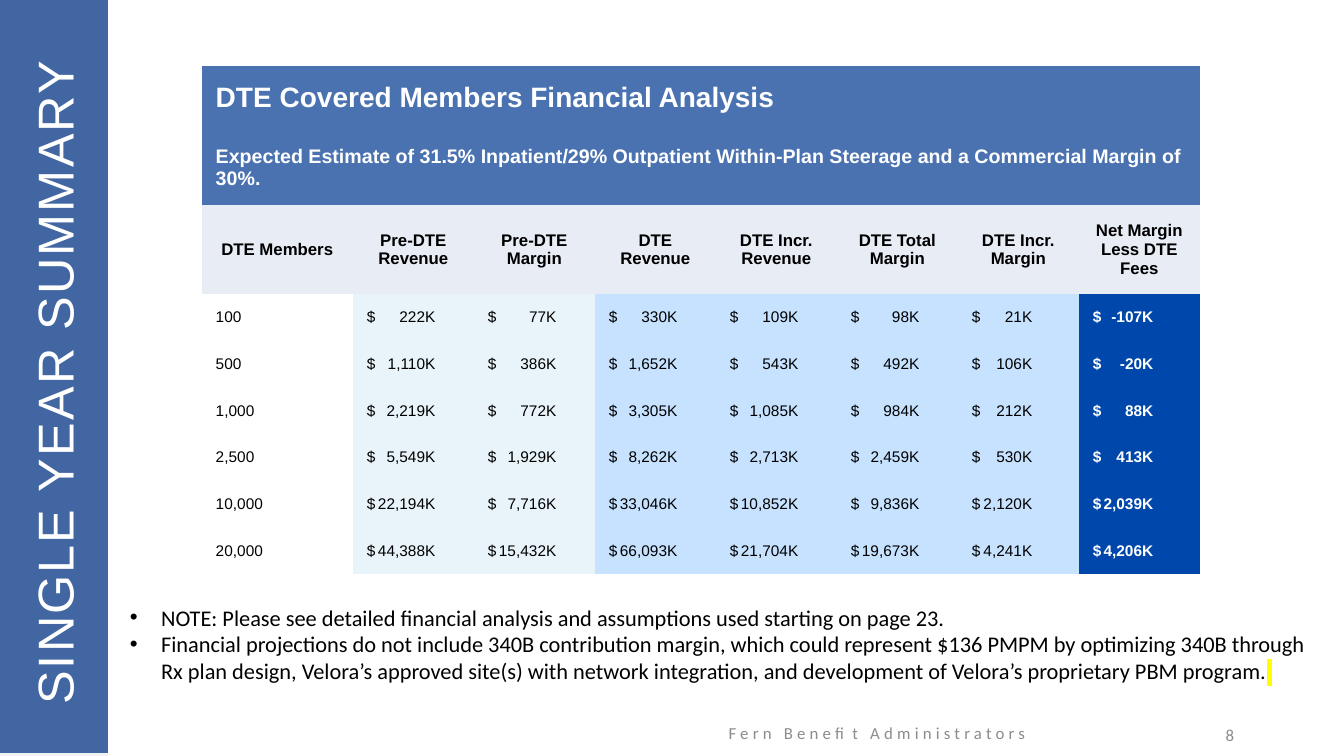
from lxml.etree import SubElement
from pptx import Presentation
from pptx.dml.color import RGBColor
from pptx.enum.shapes import MSO_SHAPE
from pptx.enum.text import MSO_ANCHOR, PP_ALIGN
from pptx.oxml.ns import qn
from pptx.util import Pt

PX = 9144  # 100 px to the inch

WHITE = RGBColor(0xFF, 0xFF, 0xFF)
BLACK = RGBColor(0, 0, 0)
GREY = RGBColor(0x8C, 0x8C, 0x8C)
STRIP_GREY = RGBColor(0xF2, 0xF2, 0xF2)
STRIP_BLUE = RGBColor(0x25, 0x4F, 0x96)
BANNER = RGBColor(0x4A, 0x72, 0xB0)
HEADER = RGBColor(0xE7, 0xEC, 0xF5)
PRE_DTE = RGBColor(0xE8, 0xF4, 0xF9)
DTE = RGBColor(0xC6, 0xE2, 0xFF)
NET = RGBColor(0x00, 0x47, 0xAB)


def add_run(p, text, size, color, name="Calibri", bold=False, spacing=0):
    """Append a formatted run; spacing is in hundredths of a point."""
    r = p.add_run()
    r.text = text
    for key, value in dict(size=Pt(size), name=name, bold=bold).items():
        setattr(r.font, key, value)
    r.font.color.rgb = color
    if spacing:
        r.font._element.set("spc", str(spacing))
    return r


def add_box(x, y, w, h, anchor=MSO_ANCHOR.MIDDLE):
    s = slide.shapes.add_textbox(x * PX, y * PX, w * PX, h * PX)
    s.text_frame.word_wrap = True
    s.text_frame.vertical_anchor = anchor
    return s


prs = Presentation()
prs.slide_width, prs.slide_height = 1333 * PX, 750 * PX
slide = prs.slides.add_slide(prs.slide_layouts[6])

# Side strip: translucent blue over light grey
for top, color in ((0, STRIP_GREY), (-3, STRIP_BLUE)):
    strip = slide.shapes.add_shape(MSO_SHAPE.RECTANGLE, 0, top * PX, 107 * PX, 750 * PX)
    strip.shadow.inherit = False
    strip.line.fill.background()
    strip.fill.solid()
    strip.fill.fore_color.rgb = color
blue = strip._element.spPr.find(qn("a:solidFill"))[0]
SubElement(blue, qn("a:alpha")).set("val", "86000")

# Footer and page number
footer = add_box(645, 707, 450, 40).text_frame.paragraphs[0]
footer.alignment = PP_ALIGN.CENTER
add_run(footer, "Fern Benefit Administrators", 12, GREY, spacing=300)
page = add_box(934, 709, 300, 40).text_frame.paragraphs[0]
page.alignment = PP_ALIGN.RIGHT
add_run(page, "8", 12, GREY)

# Vertical title
title = add_box(-283, 332, 672, 82)
title.rotation = 270
add_run(title.text_frame.paragraphs[0], "SINGLE YEAR SUMMARY", 36, WHITE, "Arial", spacing=150)

# Notes
notes = [
    "NOTE: Please see detailed financial analysis and assumptions used starting on page 23.",
    "Financial projections do not include 340B contribution margin, which could represent "
    "$136 PMPM by optimizing 340B through Rx plan design, Velora’s approved site(s) with "
    "network integration, and development of Velora’s proprietary PBM program.",
]
tf = add_box(119, 594, 1190, 91, MSO_ANCHOR.TOP).text_frame
for i, note in enumerate(notes):
    p = tf.add_paragraph() if i else tf.paragraphs[0]
    pPr = p._p.get_or_add_pPr()
    pPr.set("marL", str(31 * PX))
    pPr.set("indent", str(-31 * PX))
    SubElement(pPr, qn("a:buFont")).set("typeface", "Arial")
    SubElement(pPr, qn("a:buChar")).set("char", "•")
    add_run(p, note, 16, BLACK)
marker = add_run(p, " ", 16, BLACK, spacing=700)
rPr = marker.font._element
highlight = SubElement(rPr, qn("a:highlight"))
SubElement(highlight, qn("a:srgbClr")).set("val", "FFFF00")
rPr.find(qn("a:solidFill")).addnext(highlight)

# Financial table
banners = [
    ("DTE Covered Members Financial Analysis", 20),
    ("Expected Estimate of 31.5% Inpatient/29% Outpatient Within-Plan Steerage "
     "and a Commercial Margin of 30%.", 14),
]
headers = ["DTE Members", "Pre-DTE Revenue", "Pre-DTE Margin", "DTE Revenue",
           "DTE Incr. Revenue", "DTE Total Margin", "DTE Incr. Margin",
           "Net Margin Less DTE Fees"]
# Members, then thousands of dollars
figures = [
    (100, 222, 77, 330, 109, 98, 21, -107),
    (500, 1110, 386, 1652, 543, 492, 106, -20),
    (1000, 2219, 772, 3305, 1085, 984, 212, 88),
    (2500, 5549, 1929, 8262, 2713, 2459, 530, 413),
    (10000, 22194, 7716, 33046, 10852, 9836, 2120, 2039),
    (20000, 44388, 15432, 66093, 21704, 19673, 4241, 4206),
]
column_fills = [None, PRE_DTE, PRE_DTE, DTE, DTE, DTE, DTE, NET]
amount_tabs = [0, 68, 68, 68, 68, 68, 60, 60]
widths = [150] + [120] * 7
heights = [64, 72, 88] + [46] * 6

table = slide.shapes.add_table(len(heights), len(widths), 200 * PX, 65 * PX,
                               sum(widths) * PX, sum(heights) * PX).table
table.first_row = table.horz_banding = False
table._tbl.tblPr.find(qn("a:tableStyleId")).text = "{2D5ABB26-0587-4C30-8999-92F81FD0307C}"
for column, width in zip(table.columns, widths):
    column.width = width * PX
for row, height in zip(table.rows, heights):
    row.height = height * PX

cells = []  # row, column, text, size, colour, bold, fill
for row, (text, size) in enumerate(banners):
    table.cell(row, 0).merge(table.cell(row, 7))
    cells.append((row, 0, text, size, WHITE, True, BANNER))
for col, text in enumerate(headers):
    cells.append((2, col, text, 12, BLACK, True, HEADER))
for row, values in enumerate(figures, 3):
    for col, value in enumerate(values):
        text = f"$\t{value:,}K" if col else f"{value:,}"
        net = col == 7
        cells.append((row, col, text, 11, WHITE if net else BLACK, net, column_fills[col]))

for row, col, text, size, color, bold, fill in cells:
    cell = table.cell(row, col)
    for side in ("left", "top", "right", "bottom"):
        setattr(cell, f"margin_{side}", 14 * PX)
    cell.vertical_anchor = MSO_ANCHOR.MIDDLE
    if fill is None:
        cell.fill.background()
    else:
        cell.fill.solid()
        cell.fill.fore_color.rgb = fill
    p = cell.text_frame.paragraphs[0]
    p.alignment = PP_ALIGN.CENTER if row == 2 else PP_ALIGN.LEFT
    if "\t" in text:
        tabs = SubElement(p._p.get_or_add_pPr(), qn("a:tabLst"))
        tab = SubElement(tabs, qn("a:tab"))
        tab.set("pos", str(amount_tabs[col] * PX))
        tab.set("algn", "r")
    add_run(p, text, size, color, "Arial", bold)

prs.save("out.pptx")
